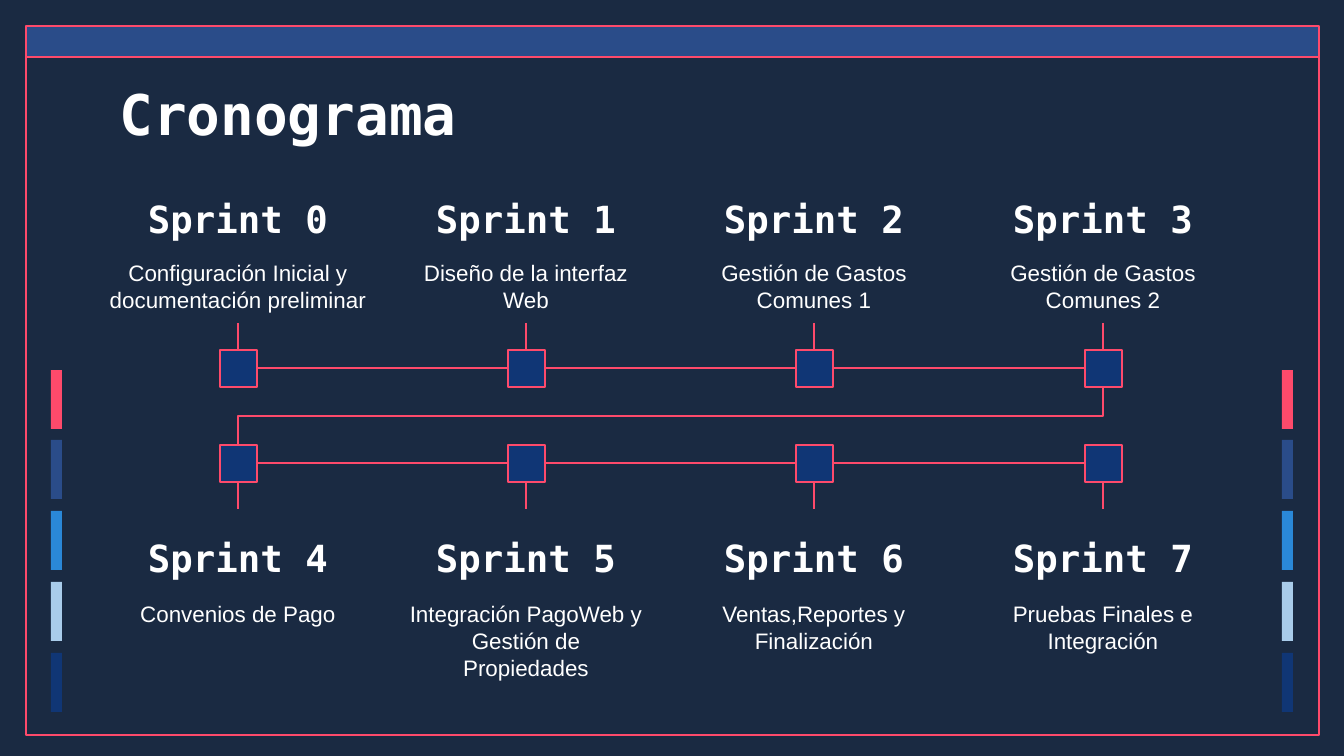
from lxml import etree
from pptx import Presentation
from pptx.dml.color import RGBColor
from pptx.enum.shapes import MSO_CONNECTOR, MSO_SHAPE
from pptx.enum.text import MSO_ANCHOR, MSO_AUTO_SIZE, PP_ALIGN
from pptx.oxml.ns import qn
from pptx.util import Inches, Pt

PX = 914400 / 134.4  # EMU in one px
RECTANGLE = MSO_SHAPE.RECTANGLE
STRAIGHT, ELBOW = MSO_CONNECTOR.STRAIGHT, MSO_CONNECTOR.ELBOW
TOP, BOTTOM = MSO_ANCHOR.TOP, MSO_ANCHOR.BOTTOM
LEFT, CENTER = PP_ALIGN.LEFT, PP_ALIGN.CENTER

NAVY = RGBColor(0x1A, 0x2A, 0x42)
INDIGO = RGBColor(0x2A, 0x4C, 0x89)
PINK = RGBColor(0xFE, 0x4A, 0x6B)
BLUE = RGBColor(0x2A, 0x88, 0xD8)
PALE = RGBColor(0xA9, 0xCC, 0xEA)
DEEP = RGBColor(0x10, 0x36, 0x75)
WHITE = RGBColor(0xFF, 0xFF, 0xFF)

TITLE = {"name": "DejaVu Sans Mono", "size": Pt(30), "bold": True}
HEADING = {"name": "DejaVu Sans Mono", "size": Pt(20), "bold": True}
BODY = {"name": "Arial", "size": Pt(12), "bold": False}


def px(*lengths):
    return [round(length * PX) for length in lengths]


def write(box, text, style, anchor, alignment):
    frame = box.text_frame
    frame.word_wrap = True
    frame.auto_size = MSO_AUTO_SIZE.NONE
    frame.vertical_anchor = anchor
    for side in ("left", "top", "right", "bottom"):
        setattr(frame, f"margin_{side}", Inches(0.1))
    para = frame.paragraphs[0]
    para.alignment = alignment
    span = para.add_run()
    span.text = text
    for name, value in style.items():
        setattr(span.font, name, value)
    span.font.color.rgb = WHITE


deck = Presentation()
deck.slide_width, deck.slide_height = px(1344, 756)
page = deck.slides.add_slide(deck.slide_layouts[5])
page.background.fill.solid()
page.background.fill.fore_color.rgb = NAVY

# Timeline grid
centers = [238 + column * 865 // 3 for column in range(4)]
NODE = 37
# Per row: node top, stub top, stub bottom, heading top, description top
rows = [(350, 323, 350, 169, 246), (445, 482, 509, 509, 587)]
descriptions = [
    ["Configuración Inicial y documentación preliminar",
     "Diseño de la interfaz Web",
     "Gestión de Gastos Comunes 1",
     "Gestión de Gastos Comunes 2"],
    ["Convenios de Pago",
     "Integración PagoWeb y Gestión de Propiedades",
     "Ventas,Reportes y Finalización",
     "Pruebas Finales e Integración"],
]

# Frame, side bars and timeline nodes: left, top, width, height, fill, line
blocks = [(26, 51, 1293, 684, NAVY, PINK), (26, 26, 1293, 31, INDIGO, PINK)]
for left in (51, 1282):
    for index, color in enumerate((PINK, INDIGO, BLUE, PALE, DEEP)):
        blocks.append((left, 370 + index * 283 // 4, 11, 59, color, None))
for row in rows:
    for center in centers:
        blocks.append((center - NODE // 2, row[0], NODE, NODE, DEEP, PINK))

for left, top, width, height, fill, line in blocks:
    block = page.shapes.add_shape(RECTANGLE, *px(left, top, width, height))
    block.shadow.inherit = False
    block.fill.solid()
    block.fill.fore_color.rgb = fill
    if line is None:
        block.line.fill.background()
    else:
        block.line.color.rgb = line
        block.line.width = Pt(0.75)

# Title, raised above the frame
title = page.shapes.title
title.left, title.top, title.width, title.height = px(106, 66, 1133, 85)
write(title, "Cronograma", TITLE, TOP, LEFT)
page.shapes._spTree.append(title._element)

# Sprint headings and descriptions
for row_index, (row, texts) in enumerate(zip(rows, descriptions)):
    heading_top, body_top = row[3:]
    for column, (center, text) in enumerate(zip(centers, texts)):
        number = row_index * 4 + column
        heading = page.shapes.add_textbox(*px(center - 133, heading_top, 266, 85))
        write(heading, f"Sprint {number}", HEADING, BOTTOM, CENTER)
        width = 362 if number == 0 else 266
        body = page.shapes.add_textbox(*px(center - width // 2, body_top, width, 77))
        write(body, text, BODY, TOP, CENTER)

# Links between nodes and stubs towards the texts
links = []
for node_top, stub_top, stub_bottom, *_ in rows:
    middle = node_top + NODE // 2
    for start, end in zip(centers, centers[1:]):
        links.append((STRAIGHT, start + 19, middle, end - 18, middle))
    for center in centers:
        links.append((STRAIGHT, center, stub_top, center, stub_bottom))

# The elbow between rows is laid out upright, then turned a quarter
first_bottom, second_top = rows[0][0] + NODE, rows[1][0]
middle_x = (centers[0] + centers[-1]) / 2
middle_y = (first_bottom + second_top) / 2
half_width = (second_top - first_bottom) / 2
half_height = (centers[-1] - centers[0]) / 2
links.append((ELBOW, middle_x - half_width, middle_y - half_height,
              middle_x + half_width, middle_y + half_height))

for kind, *ends in links:
    link = page.shapes.add_connector(kind, *px(*ends))
    link.line.color.rgb = PINK
    link.line.width = Pt(0.75)
    properties = link._element.spPr
    etree.SubElement(properties, qn("a:effectLst"))
    if kind == ELBOW:
        properties.find(qn("a:xfrm")).set("rot", "5400000")

deck.save("out.pptx")
